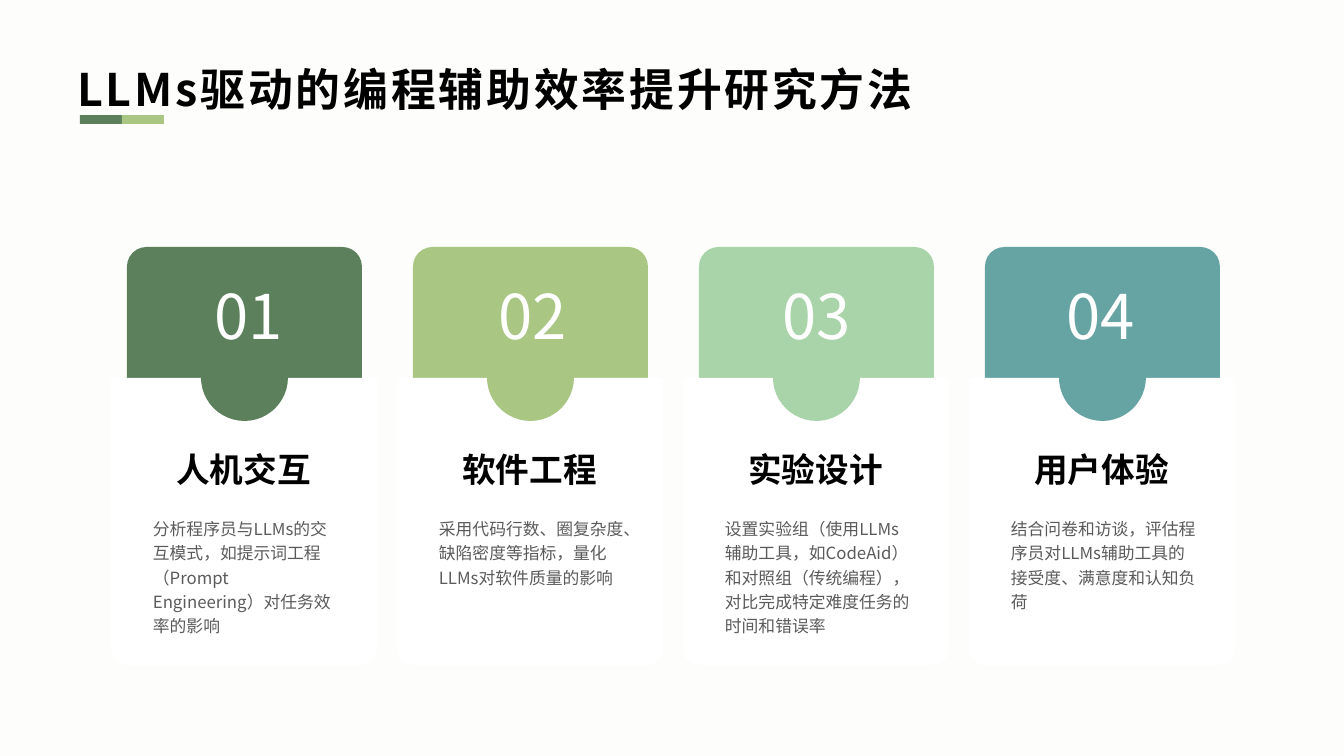
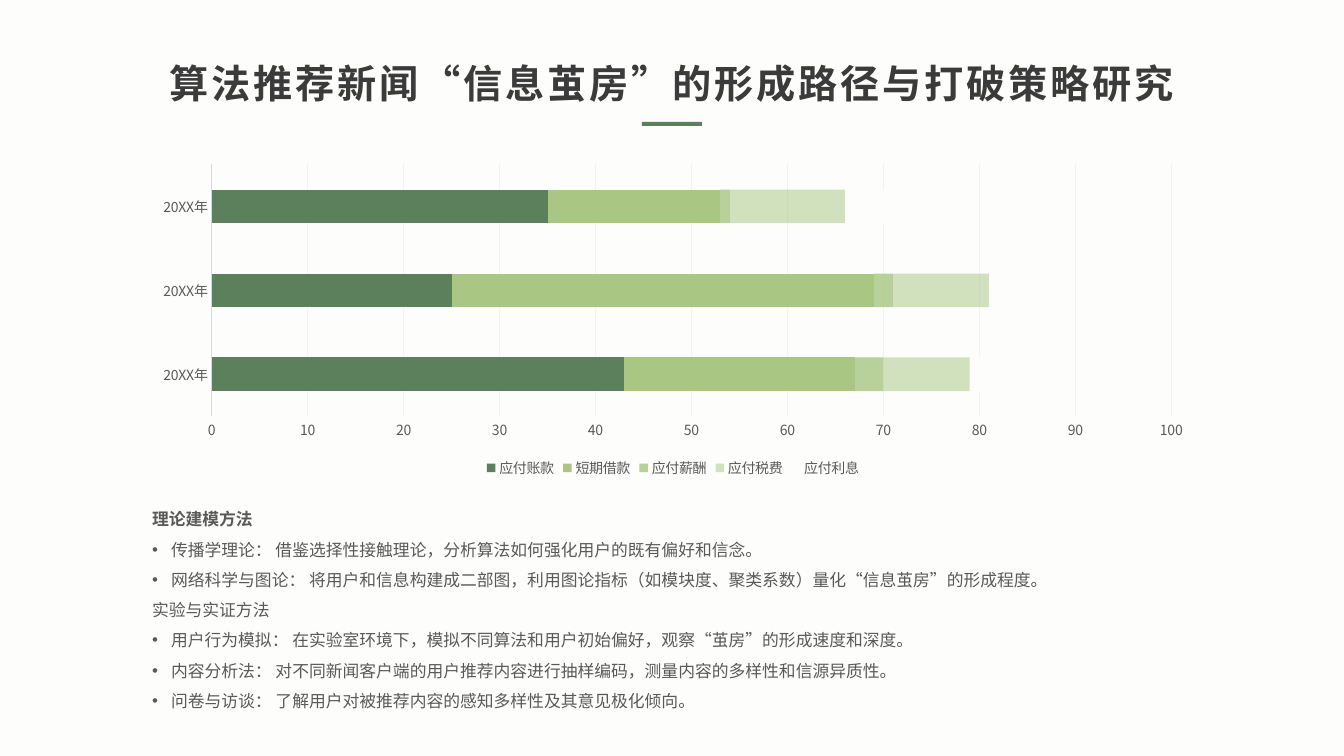
from lxml import etree
from pptx import Presentation
from pptx.chart.data import CategoryChartData
from pptx.dml.color import RGBColor
from pptx.enum.chart import XL_CHART_TYPE, XL_LEGEND_POSITION, XL_TICK_MARK
from pptx.enum.shapes import MSO_SHAPE
from pptx.enum.text import MSO_ANCHOR, MSO_AUTO_SIZE, PP_ALIGN
from pptx.oxml.ns import qn
from pptx.util import Pt

RECT, OVAL = MSO_SHAPE.RECTANGLE, MSO_SHAPE.OVAL
ROUND, BASE = MSO_SHAPE.ROUNDED_RECTANGLE, MSO_SHAPE.ROUND_2_SAME_RECTANGLE
LEFT, CENTER = PP_ALIGN.LEFT, PP_ALIGN.CENTER
TOP, MIDDLE = MSO_ANCHOR.TOP, MSO_ANCHOR.MIDDLE
GROW = MSO_AUTO_SIZE.SHAPE_TO_FIT_TEXT
BARS, BOTTOM = XL_CHART_TYPE.BAR_STACKED, XL_LEGEND_POSITION.BOTTOM
NO_TICK = XL_TICK_MARK.NONE

PX = 914400 / 100.8
FONT = "Noto Sans CJK SC"
COLORS = {
    "back": "FDFEFB", "white": "FFFFFF", "black": "000000", "dark": "3B3B3B",
    "body": "404040", "gray": "595959", "axis": "D9D9D9", "grid": "F2F2F2",
    "green": "5B805B", "lime": "A9C683", "mint": "A9D3A9", "teal": "66A4A4",
}

METHOD = "LLMs驱动的编程辅助效率提升研究方法"
CARDS = [
    ("人机交互", "green",
     "分析程序员与LLMs的交互模式，如提示词工程（Prompt Engineering）对任务效率的影响"),
    ("软件工程", "lime",
     "采用代码行数、圈复杂度、缺陷密度等指标，量化LLMs对软件质量的影响"),
    ("实验设计", "mint",
     "设置实验组（使用LLMs辅助工具，如CodeAid）和对照组（传统编程），"
     "对比完成特定难度任务的时间和错误率"),
    ("用户体验", "teal",
     "结合问卷和访谈，评估程序员对LLMs辅助工具的接受度、满意度和认知负荷"),
]

NEWS = "算法推荐新闻“信息茧房”的形成路径与打破策略研究"
YEARS = ["20XX年"] * 3
# name, values, color, opacity in percent
SERIES = [
    ("应付账款", (43, 25, 35), "green", 100),
    ("短期借款", (24, 44, 18), "lime", 100),
    ("应付薪酬", (3, 2, 1), "lime", 81),
    ("应付税费", (9, 10, 12), "lime", 51),
    ("应付利息", (4, 5, 6), "back", 100),
]
# heading, bold, items
TOPICS = [
    ("理论建模方法", True, [
        "传播学理论： 借鉴选择性接触理论，分析算法如何强化用户的既有偏好和信念。",
        "网络科学与图论： 将用户和信息构建成二部图，利用图论指标"
        "（如模块度、聚类系数）量化“信息茧房”的形成程度。",
    ]),
    ("实验与实证方法", False, [
        "用户行为模拟： 在实验室环境下，模拟不同算法和用户初始偏好，"
        "观察“茧房”的形成速度和深度。",
        "内容分析法： 对不同新闻客户端的用户推荐内容进行抽样编码，"
        "测量内容的多样性和信源异质性。",
        "问卷与访谈： 了解用户对被推荐内容的感知多样性及其意见极化倾向。",
    ]),
]


def px(n):
    return round(n * PX)


def rgb(name):
    return RGBColor.from_string(COLORS[name])


def paint(fill, color):
    fill.solid()
    fill.fore_color.rgb = rgb(color)


def fade(node, percent):
    """Make the first colour inside node partly transparent."""
    tone = next(node.iter(qn("a:srgbClr")))
    etree.SubElement(tone, qn("a:alpha"), val=str(percent * 1000))


def set_asian(node):
    """Give every default run style inside node the East Asian font."""
    for style in node.iter(qn("a:defRPr")):
        ea = etree.Element(qn("a:ea"), typeface=FONT)
        latin = style.find(qn("a:latin"))
        if latin is None:
            style.append(ea)
        else:
            latin.addnext(ea)


def style(para, size, color, bold=False, align=LEFT, lead=1.0):
    para.alignment = align
    para.line_spacing = lead
    para.space_before = Pt(0)
    font = para.font
    font.name, font.size, font.bold = FONT, Pt(size), bold
    font.color.rgb = rgb(color)
    set_asian(para._p)


def place(shape, box):
    shape.left, shape.top, shape.width, shape.height = map(px, box)


def set_frame(shape, anchor=TOP):
    frame = shape.text_frame
    frame.word_wrap = True
    frame.auto_size = GROW
    frame.vertical_anchor = anchor
    return frame


def add_title(slide, text, box, size, color, align):
    title = slide.shapes.title
    place(title, box)
    frame = set_frame(title, MIDDLE)
    frame.text = text
    para = frame.paragraphs[0]
    style(para, size, color, True, align, 1.2)
    para._p.pPr.find(qn("a:defRPr")).set("spc", "200")


def add_text(slide, text, box, *look, **more):
    frame = set_frame(slide.shapes.add_textbox(*map(px, box)))
    frame.text = text
    style(frame.paragraphs[0], *look, **more)
    return frame.paragraphs[0]


def add_shape(slide, kind, box, color, *adjust):
    shape = slide.shapes.add_shape(kind, *map(px, box))
    shape.shadow.inherit = False
    shape.line.fill.background()
    paint(shape.fill, color)
    for i, value in enumerate(adjust):
        shape.adjustments[i] = value


def add_card(slide, i, head, color, text):
    x = 127 + 286 * i
    add_shape(slide, ROUND, (x, 247, 235, 217), color, 0.09)
    add_shape(slide, BASE, (x - 16, 378, 266, 287), "white", 0, 0.06)
    add_shape(slide, OVAL, (x + 74, 334, 87, 87), color)
    add_text(slide, f"{i + 1:02}", (179 + 284 * i, 273, 140, 85),
             44, "white", align=CENTER)
    add_text(slide, head, (x + 37, 444, 159, 50),
             24, "black", True, align=CENTER)
    para = add_text(slide, text, (x + 16, 510, 206, 108),
                    12, "body", lead=1.2)
    fade(para._p, 85)


def add_bars(slide, box):
    data = CategoryChartData()
    data.categories = YEARS
    for name, values, _, _ in SERIES:
        data.add_series(name, values)
    chart = slide.shapes.add_chart(BARS, *map(px, box), data).chart
    chart.has_title = False
    chart.font.name, chart.font.size = FONT, Pt(10)
    chart.font.color.rgb = rgb("gray")
    set_asian(chart._chartSpace)
    chart.has_legend = True
    chart.legend.position = BOTTOM
    chart.legend.include_in_layout = False

    plot = chart.plots[0]
    plot.gap_width, plot.overlap = 150, 100
    plot.vary_by_categories = False
    for series, (_, _, color, percent) in zip(plot.series, SERIES):
        series.invert_if_negative = False
        paint(series.format.fill, color)
        if percent < 100:
            fade(series._element, percent)

    cats, vals = chart.category_axis, chart.value_axis
    for axis in (cats, vals):
        axis.major_tick_mark = axis.minor_tick_mark = NO_TICK
    vals.minimum_scale, vals.maximum_scale, vals.major_unit = 0, 100, 10
    vals.has_major_gridlines = True
    vals.format.line.fill.background()
    for line, color in ((cats.format.line, "axis"),
                        (vals.major_gridlines.format.line, "grid")):
        line.width = Pt(0.75)
        line.color.rgb = rgb(color)


def add_topics(slide, box):
    body = slide.placeholders[1]
    place(body, box)
    frame = set_frame(body)
    rows = []
    for head, bold, items in TOPICS:
        rows.append((head, bold, False))
        rows += [(item, False, True) for item in items]
    for i, (text, bold, bullet) in enumerate(rows):
        para = frame.add_paragraph() if i else frame.paragraphs[0]
        para.text = text
        props = para._p.get_or_add_pPr()
        dent = px(19) if bullet else 0
        props.set("marL", str(dent))
        props.set("indent", str(-dent))
        if bullet:
            etree.SubElement(props, qn("a:buChar"), char="•")
        else:
            etree.SubElement(props, qn("a:buNone"))
        style(para, 12, "gray", bold, lead=1.5)


def main():
    prs = Presentation()
    prs.slide_width, prs.slide_height = px(1344), px(756)
    paint(prs.slide_master.background.fill, "back")

    slide = prs.slides.add_slide(prs.slide_layouts[5])
    add_title(slide, METHOD, (67, 45, 1212, 76), 32, "black", LEFT)
    for i, color in enumerate(("green", "lime")):
        add_shape(slide, RECT, (80 + 42 * i, 115, 42, 9), color)
    for i, card in enumerate(CARDS):
        add_card(slide, i, *card)

    slide = prs.slides.add_slide(prs.slide_layouts[1])
    add_title(slide, NEWS, (142, 45, 1060, 67), 28, "dark", CENTER)
    add_shape(slide, RECT, (642, 122, 60, 4), "green")
    add_bars(slide, (142, 158, 1062, 324))
    add_topics(slide, (142, 494, 1062, 224))

    prs.save("out.pptx")


if __name__ == "__main__":
    main()
